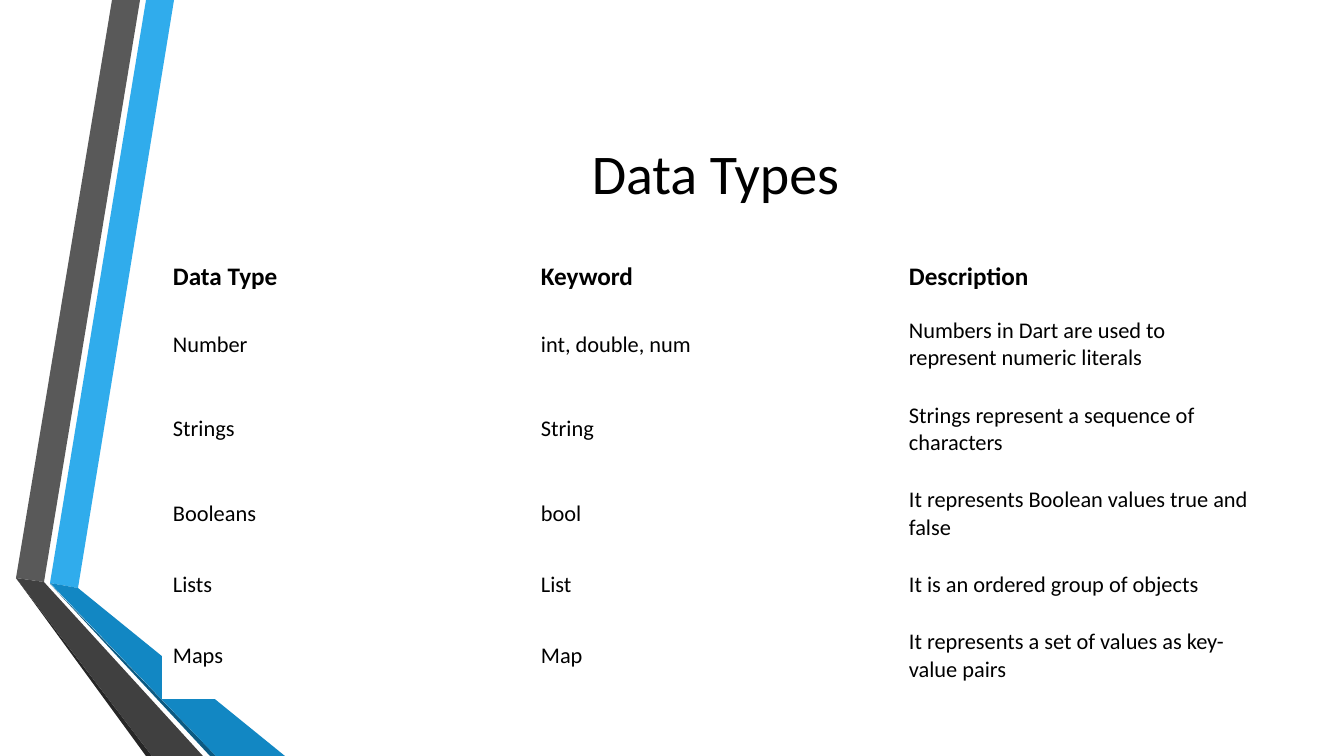
from pptx import Presentation
from pptx.dml.color import RGBColor
from pptx.enum.text import MSO_ANCHOR, PP_ALIGN
from pptx.util import Pt

PX = 914400 / 100.8
MIDDLE = MSO_ANCHOR.MIDDLE
LEFT, CENTER = PP_ALIGN.LEFT, PP_ALIGN.CENTER
TITLE_ONLY = 5
FONT = "Calibri"
COLORS = {
    "text": "000000",
    "cell": "FFFFFF",
    "sky": "30ACEC",
    "blue": "1287C3",
    "navy": "0C5A82",
    "gray": "595959",
    "charcoal": "404040",
    "coal": "262626",
}


def px(length):
    return round(length * PX)


def write(frame, text, size, bold=False, align=LEFT):
    frame.word_wrap = True
    para = frame.paragraphs[0]
    para.alignment = align
    span = para.add_run()
    span.text = text
    for name, value in {"name": FONT, "size": Pt(size), "bold": bold}.items():
        setattr(span.font, name, value)
    span.font.color.rgb = RGBColor.from_string(COLORS["text"])


deck = Presentation()
deck.slide_width, deck.slide_height = px(1344), px(756)
page = deck.slides.add_slide(deck.slide_layouts[TITLE_ONLY])

# Folded ribbons on the left edge
ribbons = [
    ("sky", [(50, 583), (78, 588), (174, 0), (146, 0)]),
    ("gray", [(140, 0), (112, 0), (16, 578), (44, 582)]),
    ("coal", [(16, 578), (146, 756), (152, 756)]),
    ("navy", [(50, 584), (210, 756), (216, 756)]),
    ("blue", [(50, 583), (216, 756), (285, 756), (78, 588)]),
    ("charcoal", [(203, 756), (44, 582), (16, 578), (152, 756)]),
]
for color, points in ribbons:
    builder = page.shapes.build_freeform(*points[0], scale=PX)
    builder.add_line_segments(points[1:], close=True)
    ribbon = builder.convert_to_shape()
    ribbon.shadow.inherit = False
    ribbon.fill.solid()
    ribbon.fill.fore_color.rgb = RGBColor.from_string(COLORS[color])
    ribbon.line.fill.background()

title = page.shapes.title
title_place = {"left": 163, "top": 76, "width": 1105, "height": 193}
for name, value in title_place.items():
    setattr(title, name, px(value))
title.text_frame.vertical_anchor = MIDDLE
write(title.text_frame, "Data Types", 40, align=CENTER)

# Table of data types: row height in px, then the cell texts
rows = [
    (51, "Data Type", "Keyword", "Description"),
    (84, "Number", "int, double, num", "Numbers in Dart are used to represent numeric literals"),
    (84, "Strings", "String", "Strings represent a sequence of characters"),
    (84, "Booleans", "bool", "It represents Boolean values true and false"),
    (57, "Lists", "List", "It is an ordered group of objects"),
    (84, "Maps", "Map", "It represents a set of values as key-value pairs"),
]
table_height = sum(row[0] for row in rows)
table = page.shapes.add_table(
    len(rows), 3, px(163), px(251), px(1104), px(table_height)
).table
table.first_row = table.horz_banding = False
for column in table.columns:
    column.width = px(368)

for row_index, (height, *texts) in enumerate(rows):
    is_header = row_index == 0
    table.rows[row_index].height = px(height)
    side, edge = px(10), px(10 if is_header else 15)
    cell_format = {
        "vertical_anchor": MIDDLE,
        "margin_left": side,
        "margin_right": side,
        "margin_top": edge,
        "margin_bottom": edge,
    }
    for column_index, text in enumerate(texts):
        cell = table.cell(row_index, column_index)
        for name, value in cell_format.items():
            setattr(cell, name, value)
        cell.fill.solid()
        cell.fill.fore_color.rgb = RGBColor.from_string(COLORS["cell"])
        write(cell.text_frame, text, 18 if is_header else 16, bold=is_header)

deck.save("out.pptx")
